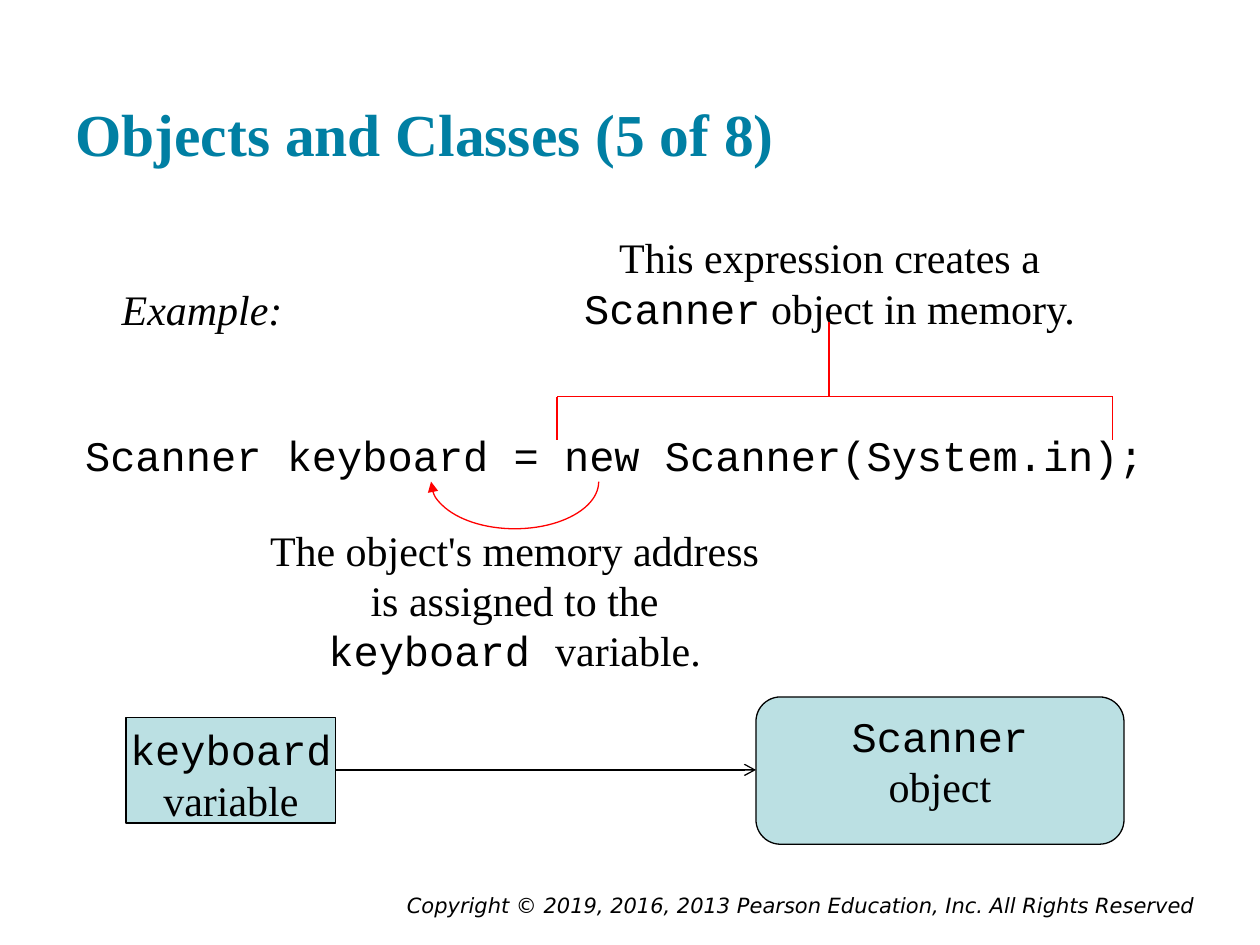
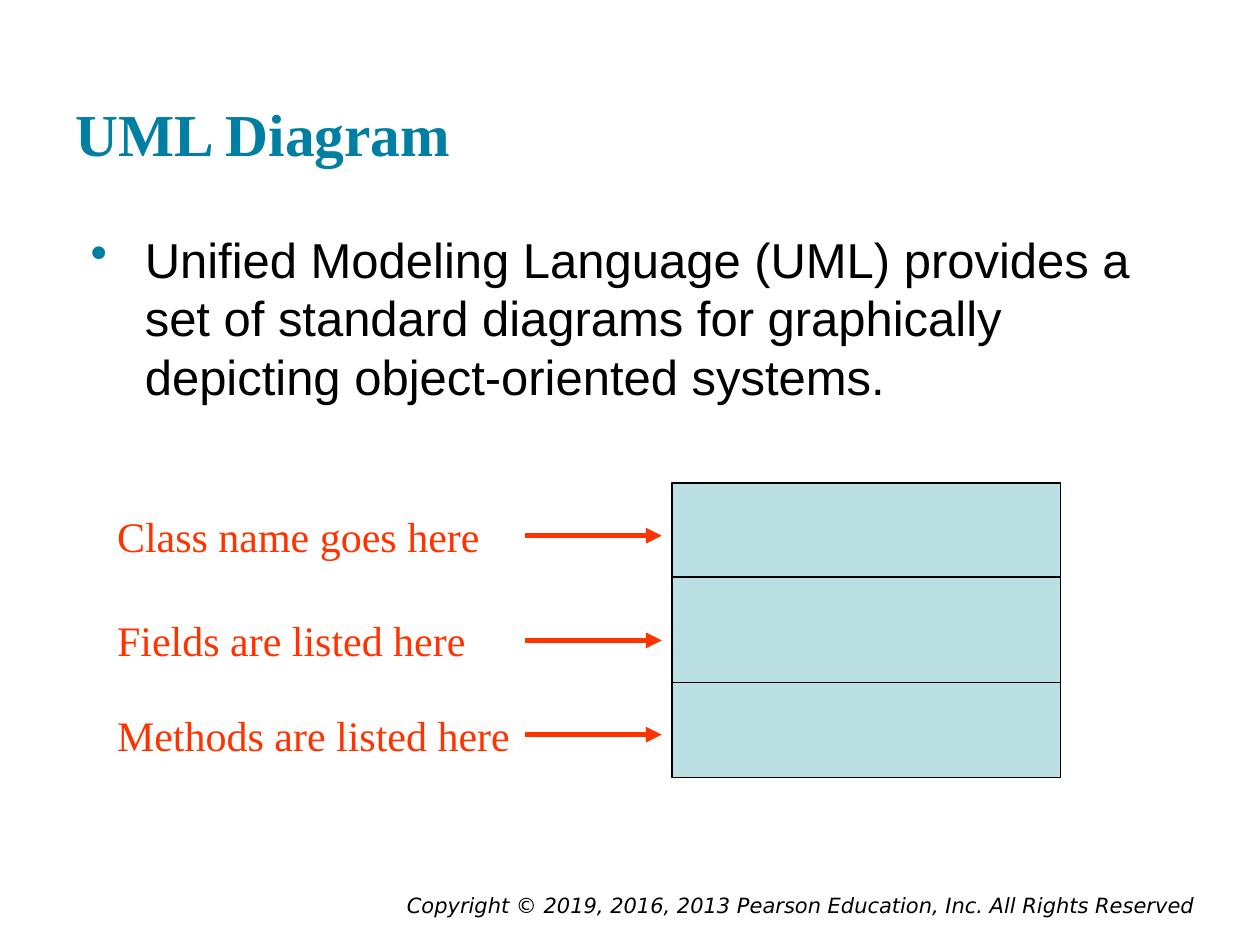
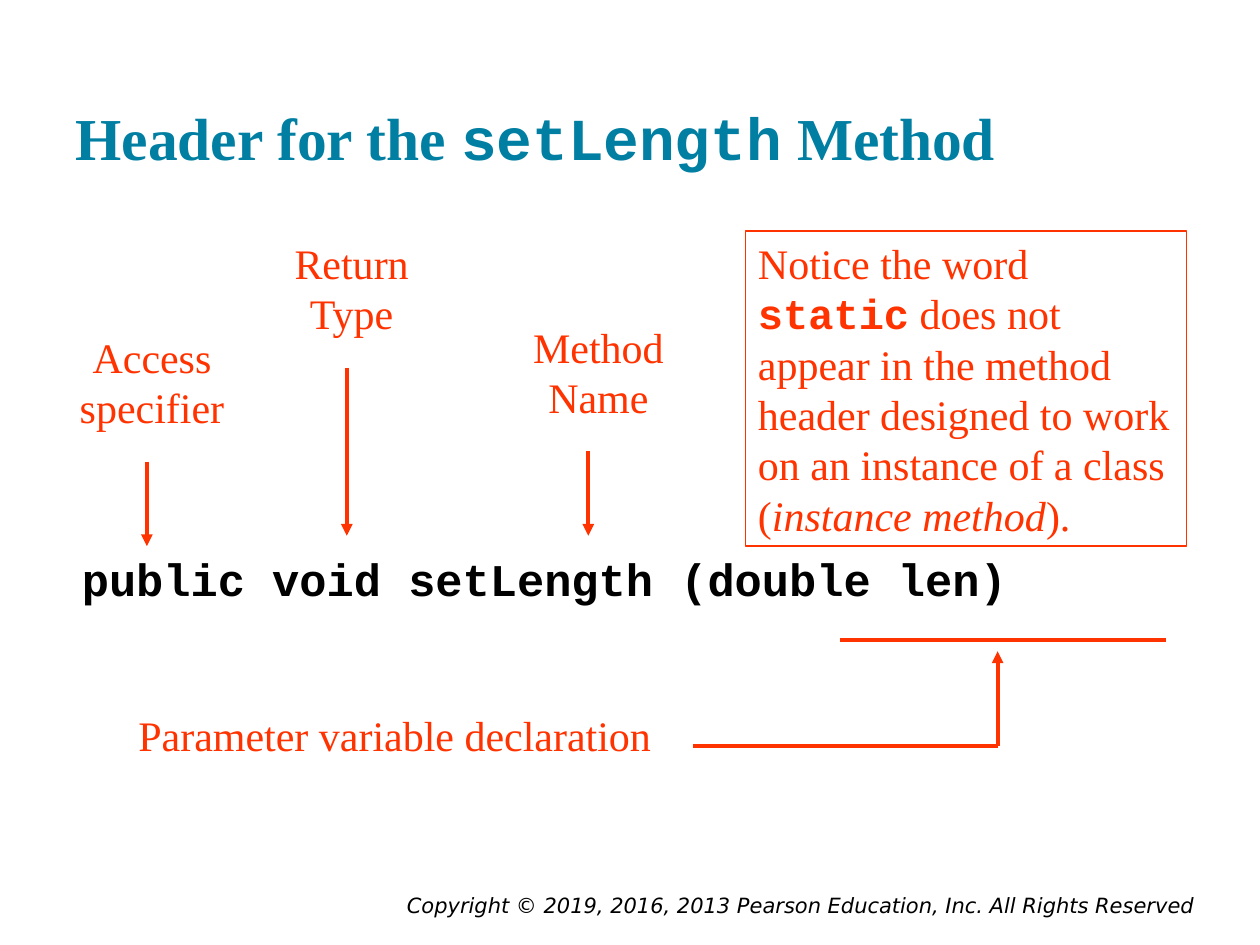
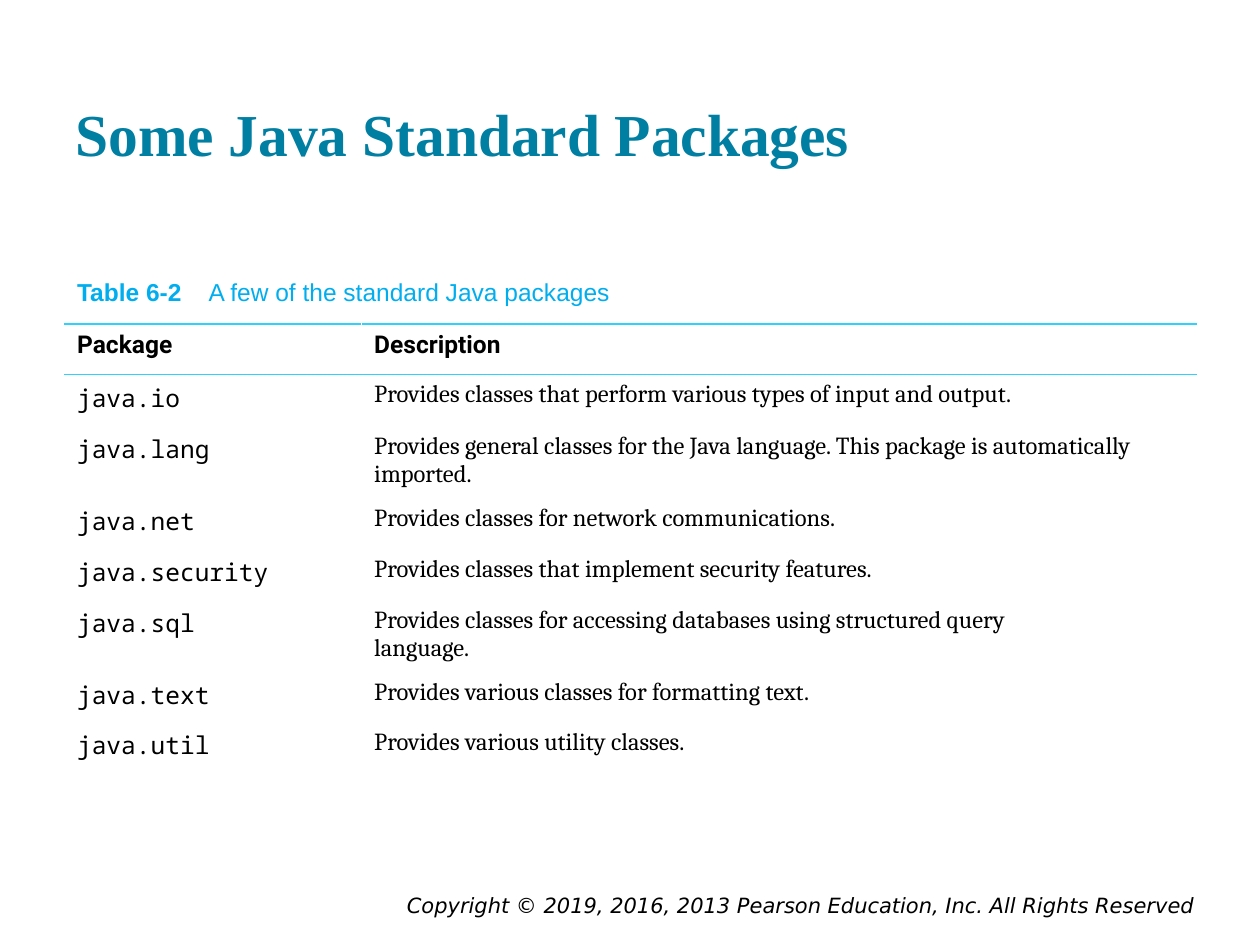
import lxml.etree
import pptx
import pptx.dml.color
import pptx.enum.shapes
import pptx.enum.text
import pptx.oxml.ns
import pptx.util

Cm = pptx.util.Cm
Pt = pptx.util.Pt
qn = pptx.oxml.ns.qn
KIND = pptx.enum.shapes.MSO_SHAPE
ANCHOR = pptx.enum.text.MSO_ANCHOR
LEFT = pptx.enum.text.PP_ALIGN.LEFT
MID = pptx.enum.text.PP_ALIGN.CENTER
RIGHT = pptx.enum.text.PP_ALIGN.RIGHT

BLACK = "000000"
WHITE = "FFFFFF"
TEAL = "007FA3"
PALE = "BBE0E3"
RED = "FF0000"
ORANGE = "FF3300"
CYAN = "00AEEF"
RULE = "2FD1FF"
SERIF = "Times New Roman"
SANS = "Arial"
MONO = "Courier New"
CODE = {"font": MONO}
FOOTER = "Copyright © 2019, 2016, 2013 Pearson Education, Inc. All Rights Reserved"

PACKS = [
    ("java.io", ["Provides classes that perform various types of input and output."]),
    ("java.lang", ["Provides general classes for the Java language. "
                   "This package is automatically imported."]),
    ("java.net", ["Provides classes for network communications."]),
    ("java.security", ["Provides classes that implement security features."]),
    ("java.sql", ["Provides classes for accessing databases using structured query",
                  "language."]),
    ("java.text", ["Provides various classes for formatting text."]),
    ("java.util", ["Provides various utility classes."]),
]
ROWS = [1.03, 1.02, 1.04, 1.45, 1.03, 1.02, 1.45, 1.02, 1.04]


def paint(code):
    return pptx.dml.color.RGBColor.from_string(code)


def add(parent, tag, **attrs):
    return lxml.etree.SubElement(parent, qn(tag), attrs)


def place(*sizes):
    return [Cm(size) for size in sizes]


def style(run, size, font, color, bold=False, ital=False):
    run.font.size = Pt(size)
    run.font.name = font
    run.font.color.rgb = paint(color)
    run.font.bold = bold
    run.font.italic = ital


def put(frame, *paras, align=LEFT, lead=1.2, margin=0, hang=0, bullet=None,
        tab=None, size=24, font=SERIF, color=BLACK, **marks):
    base = {"size": size, "font": font, "color": color, **marks}
    for index, parts in enumerate(paras):
        para = frame.add_paragraph() if index else frame.paragraphs[0]
        para.alignment = align
        if lead:
            para.line_spacing = Pt(round(lead * size, 1))
        props = para._p.get_or_add_pPr()
        if margin:
            props.set("marL", str(Cm(margin)))
            props.set("indent", str(Cm(-hang)))
        if bullet:
            add(add(props, "a:buClr"), "a:srgbClr", val=bullet)
            add(props, "a:buChar", char="•")
        if tab:
            add(add(props, "a:tabLst"), "a:tab", pos=str(Cm(tab)), algn="l")
        for part in [parts] if isinstance(parts, str) else parts:
            words, extra = (part, {}) if isinstance(part, str) else part
            run = para.add_run()
            run.text = words
            style(run, **{**base, **extra})


def label(slide, spot, *paras, pad=None, **form):
    frame = slide.shapes.add_textbox(*place(*spot)).text_frame
    frame.word_wrap = True
    if pad:
        frame.margin_top = frame.margin_bottom = Cm(pad)
    put(frame, *paras, **form)


def shape(slide, kind, spot, *paras, fill=None, edge=BLACK, wrap=False, **form):
    item = slide.shapes.add_shape(kind, *place(*spot))
    item.shadow.inherit = False
    if fill:
        item.fill.solid()
        item.fill.fore_color.rgb = paint(fill)
    else:
        item.fill.background()
    item.line.color.rgb = paint(edge)
    item.line.width = Pt(0.75)
    frame = item.text_frame
    frame.word_wrap = wrap
    frame.vertical_anchor = ANCHOR.TOP
    if paras:
        put(frame, *paras, **form)
    return item


def tip(item, kind):
    add(item.element.spPr.find(qn("a:ln")), "a:tailEnd", type=kind)


def line(slide, start, end, color=ORANGE, width=2.25, head=None):
    link = slide.shapes.add_connector(
        pptx.enum.shapes.MSO_CONNECTOR.STRAIGHT, *place(*start, *end))
    link.line.color.rgb = paint(color)
    link.line.width = Pt(width)
    add(link.element.spPr, "a:effectLst")
    if head:
        tip(link, head)


def begin(deck, title, top=0.6):
    slide = deck.slides.add_slide(deck.slide_layouts[5])
    label(slide, (4.45, 17.86, 19.89, 0.56), FOOTER, align=RIGHT, lead=None,
          size=12, font="DejaVu Sans", ital=True)
    head = slide.shapes.title
    head.left, head.top, head.width, head.height = place(1.27, top, 22.86, 3.05)
    frame = head.text_frame
    frame.auto_size = pptx.enum.text.MSO_AUTO_SIZE.NONE
    frame.vertical_anchor = ANCHOR.BOTTOM
    frame.margin_top = frame.margin_bottom = Cm(0.25)
    put(frame, title, lead=None, size=34, color=TEAL, bold=True)
    return slide


def border(cell, top, base):
    props = cell._tc.get_or_add_tcPr()
    sides = {"L": (WHITE, 0.45), "R": (WHITE, 0.45), "T": top, "B": base}
    for side, (color, width) in sides.items():
        edge = add(props, "a:ln" + side, w=str(Pt(width)))
        add(add(edge, "a:solidFill"), "a:srgbClr", val=color)


def grid(slide):
    frame = slide.shapes.add_table(len(ROWS), 2, *place(1.3, 5.5, 22.83, sum(ROWS)))
    table = frame.table
    table.first_row = table.horz_banding = False
    for col, width in zip(table.columns, (5.99, 16.84)):
        col.width = Cm(width)
    for row, height in zip(table.rows, ROWS):
        row.height = Cm(height)
    rules = [(WHITE, 0.45), (RULE, 1.47), (RULE, 0.45)]
    rules += [(WHITE, 0.45)] * (len(ROWS) - 2)
    for index, row in enumerate(table.rows):
        for cell in row.cells:
            border(cell, rules[index], rules[index + 1])
            cell.fill.solid()
            cell.fill.fore_color.rgb = paint(WHITE)
    form = {"size": 14, "lead": None}
    table.cell(0, 0).merge(table.cell(0, 1))
    put(table.cell(0, 0).text_frame,
        [("Table 6-2\t", {"bold": True}), "A few of the standard Java packages"],
        font=SANS, color=CYAN, tab=2.65, **form)
    for col, name in enumerate(("Package", "Description")):
        put(table.cell(1, col).text_frame, name, font="Roboto", bold=True, **form)
    for row, (name, about) in enumerate(PACKS, 2):
        put(table.cell(row, 0).text_frame, name, font="Noto Sans Mono", **form)
        put(table.cell(row, 1).text_frame, *about, font="Cambria", **form)


def objects(deck):
    slide = begin(deck, "Objects and Classes (5 of 8)")
    label(slide, (1.27, 8.53, 22.23, 1.27),
          "Scanner keyboard = new Scanner(System.in);", font=MONO, align=MID)
    shape(slide, KIND.RECTANGLE, (2.54, 14.47, 4.23, 2.12),
          [("keyboard", CODE)], "variable", fill=PALE, align=MID)
    shape(slide, KIND.ROUNDED_RECTANGLE, (15.24, 14.05, 7.42, 2.97),
          [("Scanner", CODE)], "object", fill=PALE, align=MID)
    line(slide, (6.77, 15.52), (15.24, 15.52), BLACK, 0.75, "arrow")
    label(slide, (11.43, 4.55, 10.59, 2.29),
          ["This expression creates a ", ("Scanner", CODE), " object in memory."],
          align=MID)
    left, right, top, base, stem = 11.23, 22.43, 8, 8.86, 16.71
    for start, end in [((left, base), (left, top)), ((left, top), (right, top)),
                       ((right, base), (right, top)), ((stem, top), (stem, 6.5))]:
        line(slide, start, end, RED, 0.75)
    curve = shape(slide, KIND.ARC, (8.69, 8.76, 3.38, 1.9), edge=RED)
    curve.adjustments[0] = 0
    curve.adjustments[1] = 108
    tip(curve, "triangle")
    label(slide, (5.15, 10.44, 10.45, 3.3),
          ["The object's memory address is assigned to the ",
           ("keyboard ", CODE), "variable."], align=MID)
    label(slide, (1.96, 5.59, 4.23, 1.27), "Example:", align=MID, ital=True)


def diagram(deck):
    slide = begin(deck, "UML Diagram")
    label(slide, (1.27, 4.37, 22.86, 12.57),
          "Unified Modeling Language (UML) provides a set of standard diagrams "
          "for graphically depicting object-oriented systems.",
          pad=0.25, size=28, font=SANS, margin=1.4, hang=1.09, bullet=TEAL)
    left, width = 13.55, 7.83
    shape(slide, KIND.RECTANGLE, (left, 9.74, width, 5.93), fill=PALE)
    for level in (11.63, 13.76):
        line(slide, (left, level), (left + width, level), BLACK, 0.75)
    for top, name in [(10.16, "Class name goes here"),
                      (12.27, "Fields are listed here"),
                      (14.17, "Methods are listed here")]:
        label(slide, (2.11, top, 8.46, 1.27), name, color=ORANGE)
        level = top + 0.64
        line(slide, (10.58, level), (13.34, level), width=3, head="triangle")


def header(deck):
    slide = begin(deck, ["Header for the ", ("setLength", CODE), " Method"], 0.68)
    label(slide, (1.12, 11.05, 22.86, 1.65), "public void setLength (double len)",
          pad=0.25, lead=1, margin=0.71, hang=0.43, size=25.9, font=MONO,
          bold=True)
    for spot, name in [((0.42, 6.56, 5.29, 2.29), "Access specifier"),
                       ((5.08, 4.66, 4.02, 2.29), "Return Type"),
                       ((10.37, 6.35, 3.39, 2.29), "Method Name")]:
        label(slide, spot, name, align=MID, color=ORANGE)
    label(slide, (2.54, 14.18, 11.22, 1.27), "Parameter variable declaration",
          color=ORANGE)
    for side, top, base in [(2.96, 9.31, 11.01), (6.99, 7.41, 10.8),
                            (11.86, 9.1, 10.8), (20.11, 15.03, 13.13)]:
        line(slide, (side, top), (side, base), head="triangle")
    line(slide, (16.93, 12.91), (23.5, 12.91))
    line(slide, (13.97, 15.03), (20.11, 15.03))
    shape(slide, KIND.RECTANGLE, (15.03, 4.66, 8.89, 6.35),
          ["Notice the word ", ("static", {"font": MONO, "bold": True}),
           " does not appear in the method header designed to work on an "
           "instance of a class (", ("instance method", {"ital": True}), ")."],
          edge=ORANGE, wrap=True, color=ORANGE)


def main():
    deck = pptx.Presentation()
    deck.slide_width, deck.slide_height = place(25.4, 19.05)
    objects(deck)
    diagram(deck)
    header(deck)
    grid(begin(deck, "Some Java Standard Packages"))
    deck.save("out.pptx")


if __name__ == "__main__":
    main()
